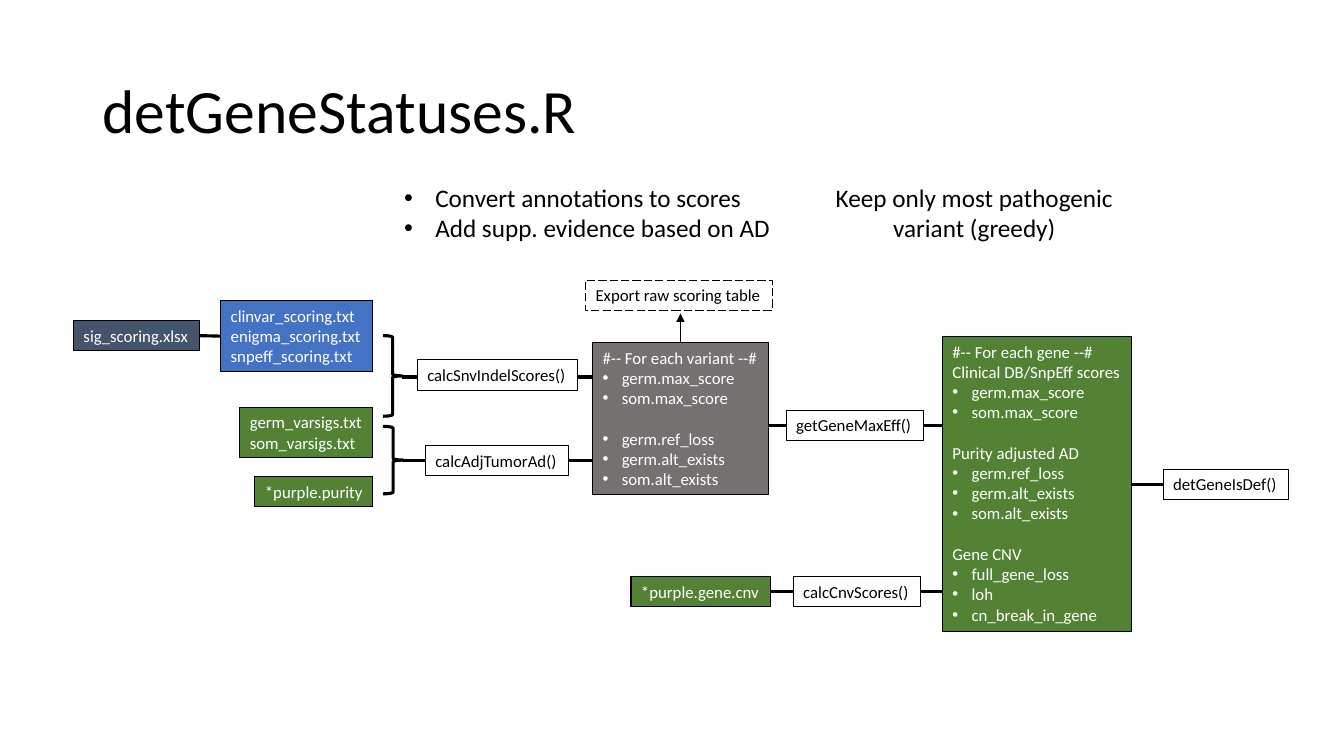
import pptx
import pptx.util
import pptx.dml.color
import pptx.enum.dml
import pptx.enum.shapes
import pptx.enum.text
import pptx.oxml
import pptx.oxml.ns

RGB = pptx.dml.color.RGBColor
BLACK = RGB(0x00, 0x00, 0x00)
WHITE = RGB(0xFF, 0xFF, 0xFF)
SLATE = RGB(0x44, 0x54, 0x6A)
BLUE = RGB(0x44, 0x72, 0xC4)
GREEN = RGB(0x54, 0x82, 0x35)
GRAY = RGB(0x76, 0x71, 0x71)

FONT = "Calibri"
CELL = pptx.util.Inches(0.1)
COLUMNS, ROWS = 133.33, 75
LABEL_HEIGHT = 3
SECTION_GAP = 14.6
TOP, LEFT, BOTTOM, RIGHT = range(4)
ALIGN = pptx.enum.text.PP_ALIGN
ANCHOR = pptx.enum.text.MSO_ANCHOR
SHAPE = pptx.enum.shapes.MSO_SHAPE


def cells(*lengths):
    return [round(length * CELL) for length in lengths]


def add_child(parent, tag, **attributes):
    child = pptx.oxml.parse_xml(f"<{tag} {pptx.oxml.ns.nsdecls('a')}/>")
    for name, value in attributes.items():
        child.set(name, value)
    parent.append(child)


def write(frame, sections, size, color, align=ALIGN.LEFT, anchor=ANCHOR.TOP, wrap=False):
    frame.word_wrap = wrap
    frame.vertical_anchor = anchor
    paragraph = None
    for number, section in enumerate(sections):
        for position, line in enumerate(section):
            paragraph = frame.add_paragraph() if paragraph else frame.paragraphs[0]
            paragraph.alignment = align
            if number and position == 0:
                paragraph.space_before = pptx.util.Pt(SECTION_GAP)
            run = paragraph.add_run()
            run.text = line.removeprefix("• ")
            run.font.name = FONT
            run.font.size = pptx.util.Pt(size)
            run.font.color.rgb = color
            if line.startswith("• "):
                hang = pptx.util.Inches(0.19 if size == 12 else 0.31)
                properties = paragraph._p.get_or_add_pPr()
                properties.set("marL", str(hang))
                properties.set("indent", str(-hang))
                add_child(properties, "a:buFont", typeface="Arial")
                add_child(properties, "a:buChar", char="•")


def add_box(slide, left, top, width, height, sections, fill=WHITE, dashed=False):
    box = slide.shapes.add_shape(SHAPE.RECTANGLE, *cells(left, top, width, height))
    box.shadow.inherit = False
    box.fill.solid()
    box.fill.fore_color.rgb = fill
    box.line.color.rgb = BLACK
    box.line.width = pptx.util.Pt(0.75)
    if dashed:
        box.line.dash_style = pptx.enum.dml.MSO_LINE.LONG_DASH
    write(box.text_frame, sections, 12, BLACK if fill == WHITE else WHITE)
    return box


def add_label(slide, left, top, width, text, fill=WHITE, dashed=False):
    return add_box(slide, left, top, width, LABEL_HEIGHT, [[text]], fill, dashed)


def add_brace(slide, left, top, width, height):
    brace = slide.shapes.add_shape(SHAPE.RIGHT_BRACE, *cells(left, top, width, height))
    brace.shadow.inherit = False
    brace.fill.background()
    brace.line.color.rgb = BLACK
    brace.line.width = pptx.util.Pt(2.25)


def add_line(slide, x1, y1, x2, y2, width=2.25, arrow=False):
    line = slide.shapes.add_connector(
        pptx.enum.shapes.MSO_CONNECTOR.STRAIGHT, *cells(x1, y1, x2, y2))
    line.line.color.rgb = BLACK
    line.line.width = pptx.util.Pt(width)
    if arrow:
        add_child(line.line._get_or_add_ln(), "a:tailEnd", type="triangle")
    add_child(line._element.spPr, "a:effectLst")
    return line


def add_title(slide, left, top, width, height):
    title = slide.shapes.add_textbox(*cells(left, top, width, height)).text_frame
    write(title, [["detGeneStatuses.R"]], 44, BLACK, anchor=ANCHOR.MIDDLE, wrap=True)
    title.paragraphs[0].line_spacing = 0.9


def add_step_notes(slide, left, top, height):
    scoring_note = slide.shapes.add_textbox(*cells(left, top, 39.5, height))
    write(scoring_note.text_frame,
          [["• Convert annotations to scores", "• Add supp. evidence based on AD"]], 18, BLACK)
    gene_note = slide.shapes.add_textbox(*cells(left + 41.8, top, 31.5, height))
    write(gene_note.text_frame, [["Keep only most pathogenic variant (greedy)"]],
          18, BLACK, align=ALIGN.CENTER, wrap=True)


def add_inputs(slide, left, top):
    right = left + 29.7
    link = add_line(slide, left + 12.5, top + 3.5, right - 15.1, top + 3.5)
    workbook = add_label(slide, left, top + 2, 12.5, "sig_scoring.xlsx", SLATE)
    scoring = add_box(slide, right - 15.1, top, 15.1, 7.1,
                      [["clinvar_scoring.txt", "enigma_scoring.txt", "snpeff_scoring.txt"]], BLUE)
    link.begin_connect(workbook, RIGHT)
    link.end_connect(scoring, LEFT)
    add_box(slide, right - 13.2, top + 10.6, 13.2, 5,
            [["germ_varsigs.txt", "som_varsigs.txt"]], GREEN)
    add_label(slide, right - 11.7, top + 17.5, 11.7, "*purple.purity", GREEN)
    add_brace(slide, right + 1, top + 3.5, 1.9, 8)
    add_brace(slide, right + 1, top + 12.5, 2, 6.7)


def add_variant_scoring(slide, left, top):
    variant_left, variant_top, variant_width = left + 18.9, top + 6.2, 17.4
    for row in (9.6, 17.9):
        add_line(slide, left, top + row, variant_left, top + row)
    add_label(slide, left + 1.5, top + 7.9, 15.9, "calcSnvIndelScores()")
    add_label(slide, left + 2.3, top + 16.4, 14.2, "calcAdjTumorAd()")
    variant = add_box(slide, variant_left, variant_top, variant_width, 15.1, [
        ["#-- For each variant --#", "• germ.max_score", "• som.max_score"],
        ["• germ.ref_loss", "• germ.alt_exists", "• som.alt_exists"]], GRAY)
    middle = variant_left + variant_width / 2
    export_arrow = add_line(slide, middle, variant_top, middle, top + 3.3, 1, arrow=True)
    export_arrow.begin_connect(variant, TOP)
    add_label(slide, left + 18.2, top, 18.5, "Export raw scoring table", dashed=True)


def add_gene_status(slide, left, top):
    gene_left, gene_width, gene_height = left + 30.9, 18.8, 29.3
    add_line(slide, left + 13.6, top + 8.8, gene_left, top + 8.8)
    cnv_link = add_line(slide, left + 13.8, top + 25.3, gene_left, top + 25.3)
    cnv = add_label(slide, left, top + 23.8, 13.8, "*purple.gene.cnv", GREEN)
    cnv_link.begin_connect(cnv, RIGHT)
    add_label(slide, left + 16.1, top + 23.8, 12.6, "calcCnvScores()")
    add_label(slide, left + 15.4, top + 7.3, 13.6, "getGeneMaxEff()")
    gene = add_box(slide, gene_left, top, gene_width, gene_height, [
        ["#-- For each gene --#", "Clinical DB/SnpEff scores",
         "• germ.max_score", "• som.max_score"],
        ["Purity adjusted AD", "• germ.ref_loss", "• germ.alt_exists", "• som.alt_exists"],
        ["Gene CNV", "• full_gene_loss", "• loh", "• cn_break_in_gene"]], GREEN)
    middle = top + gene_height / 2
    verdict_left = gene_left + gene_width + 3.1
    verdict_link = add_line(slide, gene_left + gene_width, middle, verdict_left, middle)
    verdict = add_label(slide, verdict_left, middle - LABEL_HEIGHT / 2, 12.4, "detGeneIsDef()")
    verdict_link.begin_connect(gene, RIGHT)
    verdict_link.end_connect(verdict, LEFT)


def main():
    deck = pptx.Presentation()
    deck.slide_width, deck.slide_height = cells(COLUMNS, ROWS)
    slide = deck.slides.add_slide(deck.slide_layouts[6])
    add_title(slide, 9.2, 4, 115, 14.5)
    add_step_notes(slide, 39.1, 17.6, 7.1)
    add_inputs(slide, 7.3, 29.8)
    add_variant_scoring(slide, 39.9, 27.8)
    add_gene_status(slide, 62.6, 33.4)
    deck.save("out.pptx")


if __name__ == "__main__":
    main()
